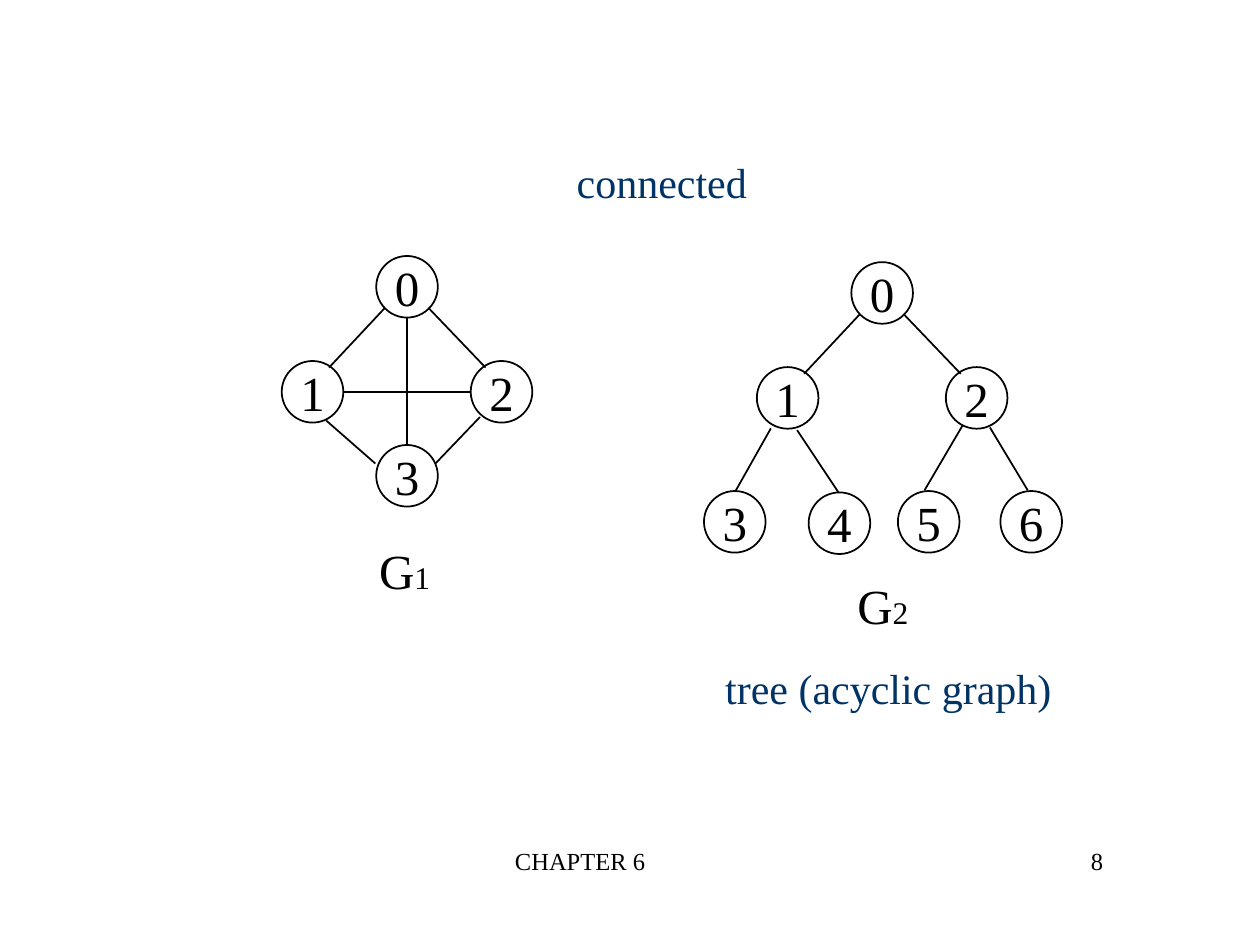
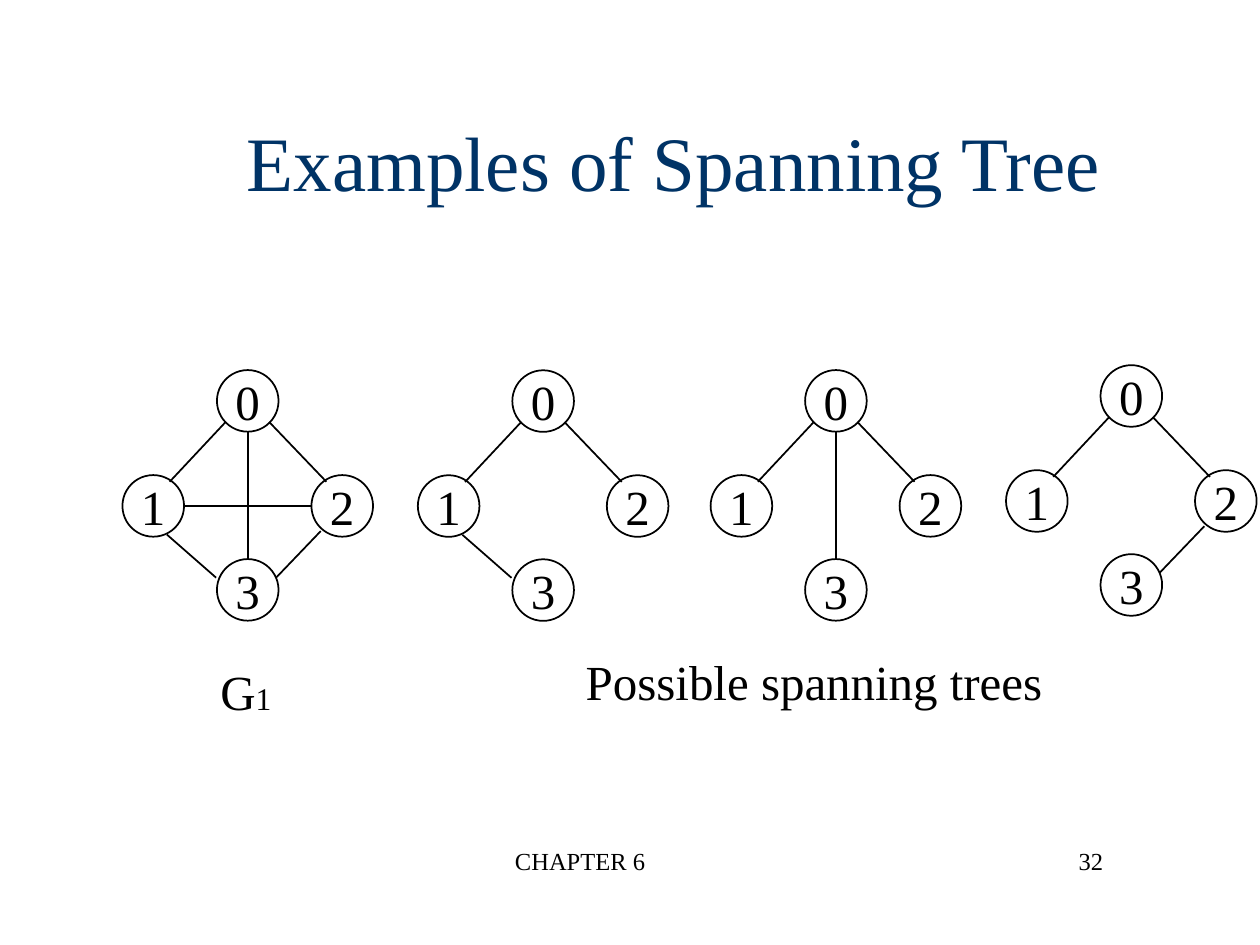
from lxml.etree import SubElement
from pptx import Presentation
from pptx.dml.color import RGBColor
from pptx.enum.shapes import MSO_CONNECTOR, MSO_SHAPE
from pptx.enum.text import MSO_ANCHOR, MSO_AUTO_SIZE, PP_ALIGN
from pptx.oxml.ns import qn
from pptx.util import Pt

COLOURS = {"ink": "000000", "paper": "FFFFFF", "heading": "003366"}
FONT = "Times New Roman"
NODE_SIZE = 35.2
MARGINS = {"margin_left": Pt(7.2), "margin_right": Pt(7.2),
           "margin_top": Pt(3.6), "margin_bottom": Pt(3.6)}
FITTED = {"word_wrap": False, "auto_size": MSO_AUTO_SIZE.SHAPE_TO_FIT_TEXT}
WRAPPED = {"word_wrap": True, "auto_size": MSO_AUTO_SIZE.NONE}
MIDDLE = {"vertical_anchor": MSO_ANCHOR.MIDDLE}
CENTRED = {"alignment": PP_ALIGN.CENTER}

DIAMOND_NODES = {0: (0, 0), 1: (-54, 60), 2: (54, 60), 3: (0, 108)}
DIAMOND_EDGES = {
    (0, 3): (17.6, 35.2, 17.6, 108),
    (1, 2): (-18.8, 77.6, 54, 77.6),
    (0, 1): (5, 29.6, -27, 63.8),
    (0, 2): (29.8, 29.6, 62.5, 63.8),
    (1, 3): (-28.6, 94, -0.5, 118.6),
    (2, 3): (59.3, 92, 33.8, 118.6),
}
TREE_NODES = {0: (0, 0), 1: (-54, 60), 2: (54, 60), 3: (-84.2, 130.8),
              4: (-24.4, 131.6), 5: (26.6, 130.8), 6: (85.2, 130.8)}
TREE_EDGES = {
    (0, 1): DIAMOND_EDGES[0, 1],
    (0, 2): DIAMOND_EDGES[0, 2],
    (1, 3): (-46, 95, -66.3, 131),
    (1, 4): (-31, 96, -7.2, 131.8),
    (2, 5): (63.4, 93.6, 41.8, 130.4),
    (2, 6): (79.2, 94.5, 100.8, 130.4),
}
SPANNING_TREES = [
    ((292.8, 211.6), [(0, 1), (0, 2), (1, 3)]),
    ((460.1, 211.5), [(0, 3), (0, 1), (0, 2)]),
    ((628.9, 208.7), [(0, 1), (0, 2), (2, 3)]),
]


def rgb(colour):
    """Return the named colour."""
    return RGBColor.from_string(COLOURS[colour])


def apply(target, formats):
    """Set every format value on the target."""
    for name, value in formats.items():
        setattr(target, name, value)


def write(frame, runs, colour, frame_format, paragraph_format):
    """Write (text, size) runs as one formatted paragraph."""
    apply(frame, MARGINS | frame_format)
    paragraph = frame.paragraphs[0]
    apply(paragraph, paragraph_format)
    for words, size in runs:
        run = paragraph.add_run()
        run.text = words
        apply(run.font, {"name": FONT, "size": Pt(size)})
        run.font.color.rgb = rgb(colour)


def add_text(slide, box, runs, colour="ink", frame_format=FITTED, paragraph_format=None):
    """Add a text box at left, top, width, height."""
    frame = slide.shapes.add_textbox(*map(Pt, box)).text_frame
    write(frame, runs, colour, frame_format, paragraph_format or {})


def add_node(slide, left, top, number):
    """Add a numbered vertex."""
    vertex = slide.shapes.add_shape(
        MSO_SHAPE.OVAL, Pt(left), Pt(top), Pt(NODE_SIZE), Pt(NODE_SIZE))
    vertex.shadow.inherit = False
    vertex.fill.solid()
    vertex.fill.fore_color.rgb = rgb("paper")
    vertex.line.color.rgb = rgb("ink")
    vertex.line.width = Pt(1)
    write(vertex.text_frame, [(str(number), 28)], "ink",
          MIDDLE | {"word_wrap": False}, CENTRED)


def add_edge(slide, ends):
    """Add a straight edge between two points."""
    edge = slide.shapes.add_connector(MSO_CONNECTOR.STRAIGHT, *map(Pt, ends))
    edge.line.color.rgb = rgb("ink")
    edge.line.width = Pt(1)
    SubElement(edge._element.spPr, qn("a:effectLst"))


def add_graph(slide, origin, nodes, edges):
    """Add a graph whose vertex 0 has its top left corner at the origin."""
    left, top = origin
    for number, (across, down) in nodes.items():
        add_node(slide, left + across, top + down, number)
    for x1, y1, x2, y2 in edges:
        add_edge(slide, (left + x1, top + y1, left + x2, top + y2))


def add_graph_name(slide, left, top, index):
    """Add a graph's name with its small index."""
    add_text(slide, (left, top, 43.9, 41), [("G", 28), (index, 18)])


def add_slide(deck, number):
    """Add a blank slide with chapter footer and slide number."""
    slide = deck.slides.add_slide(deck.slide_layouts[6])
    footers = [(217.5, 228, "CHAPTER 6", PP_ALIGN.CENTER),
               (487.5, 150, number, PP_ALIGN.RIGHT)]
    for left, width, words, alignment in footers:
        add_text(slide, (left, 480, width, 36), [(words, 14)], frame_format=WRAPPED,
                 paragraph_format={"alignment": alignment, "space_before": Pt(8.8)})
    return slide


def add_connected_graphs(deck):
    """Build the slide on connected graphs."""
    slide = add_slide(deck, "8")
    add_graph(slide, (215, 146.3), DIAMOND_NODES, DIAMOND_EDGES.values())
    add_graph(slide, (486.5, 149.8), TREE_NODES, TREE_EDGES.values())
    add_graph_name(slide, 209.5, 305.5, "1")
    add_graph_name(slide, 482.8, 325.5, "2")
    for box, remark in [((322.4, 86, 111.5, 36), "connected"),
                        ((407.2, 375, 201, 36), "tree (acyclic graph)")]:
        add_text(slide, box, [(remark, 24)], "heading", FITTED | MIDDLE, CENTRED)


def add_spanning_trees(deck):
    """Build the slide on spanning trees."""
    slide = add_slide(deck, "32")
    add_text(slide, (50, 47, 670, 90), [("Examples of Spanning Tree", 44)],
             "heading", WRAPPED | MIDDLE, CENTRED)
    add_graph(slide, (124, 211.5), DIAMOND_NODES, DIAMOND_EDGES.values())
    for origin, kept_edges in SPANNING_TREES:
        add_graph(slide, origin, DIAMOND_NODES, [DIAMOND_EDGES[pair] for pair in kept_edges])
    add_graph_name(slide, 118.8, 374.5, "1")
    add_text(slide, (327.6, 368.8, 275.8, 41), [("Possible spanning trees", 28)])


def main():
    """Build and save the deck."""
    deck = Presentation()
    apply(deck, {"slide_width": Pt(720), "slide_height": Pt(540)})
    add_connected_graphs(deck)
    add_spanning_trees(deck)
    deck.save("out.pptx")


if __name__ == "__main__":
    main()
